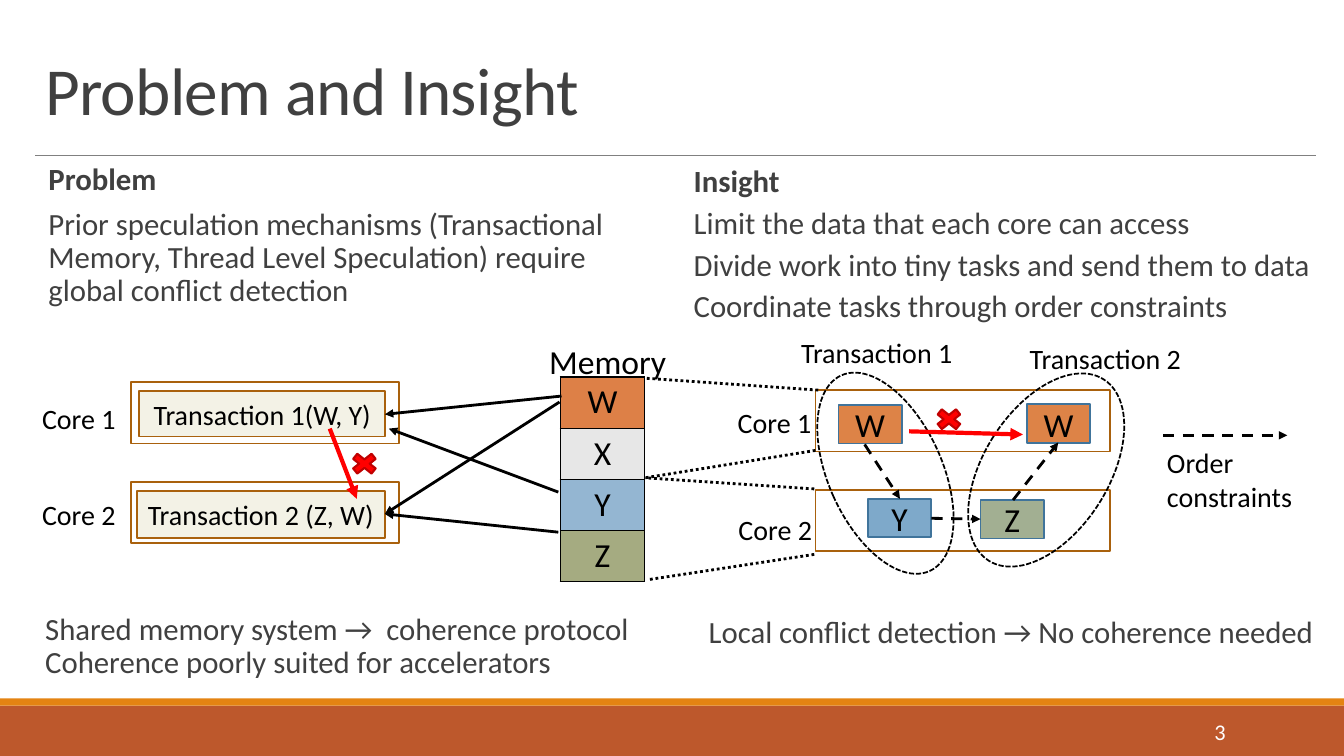
from lxml import etree
from pptx import Presentation
from pptx import util as u
from pptx.dml.color import RGBColor
from pptx.enum import dml, shapes, text
from pptx.oxml import ns

BLACK = RGBColor(0x00, 0x00, 0x00)
WHITE = RGBColor(0xFF, 0xFF, 0xFF)
DARK = RGBColor(0x40, 0x40, 0x40)
GRAY = RGBColor(0x80, 0x80, 0x80)
RUST = RGBColor(0xBD, 0x58, 0x2C)
AMBER = RGBColor(0xE4, 0x83, 0x12)
BROWN = RGBColor(0xA9, 0x61, 0x0D)
CREAM = RGBColor(0xF3, 0xF2, 0xE6)
RED = RGBColor(0xFF, 0x00, 0x00)
DARK_RED = RGBColor(0xC0, 0x00, 0x00)
TASK_EDGE = RGBColor(0x40, 0x74, 0x9B)
TASK_ORANGE = RGBColor(0xDD, 0x83, 0x47)
TASK_BLUE = RGBColor(0x7E, 0xA9, 0xCA)
TASK_GREEN = RGBColor(0xA2, 0xAF, 0x92)
MEMORY = [("W", RGBColor(0xDD, 0x80, 0x47)), ("X", RGBColor(0xE7, 0xE7, 0xE7)),
          ("Y", RGBColor(0x94, 0xB6, 0xD2)), ("Z", RGBColor(0xA5, 0xAB, 0x81))]

LEFT, CENTER, RIGHT = text.PP_ALIGN.LEFT, text.PP_ALIGN.CENTER, text.PP_ALIGN.RIGHT
TOP, MIDDLE, BOTTOM = (text.MSO_ANCHOR.TOP, text.MSO_ANCHOR.MIDDLE,
                       text.MSO_ANCHOR.BOTTOM)
DASH, SYS_DASH, SYS_DOT = (dml.MSO_LINE.DASH, dml.MSO_LINE.SQUARE_DOT,
                           dml.MSO_LINE.ROUND_DOT)
RECT = shapes.MSO_SHAPE.RECTANGLE
CORE_GAP = 2.51


def child(parent, tag, **attrs):
    return etree.SubElement(parent, ns.qn(tag), **attrs)


def write(tf, *lines, size=20, color=BLACK, font="Calibri", align=LEFT, anchor=TOP,
          wrap=True, heading=False, inset=0.25, before=0, after=0, leading=None,
          tracking=None):
    """Fill a text frame, one paragraph per line; heading makes the first one bold."""
    tf.word_wrap = wrap
    tf.auto_size = text.MSO_AUTO_SIZE.NONE
    tf.vertical_anchor = anchor
    tf.margin_left = tf.margin_right = u.Cm(inset)
    tf.margin_top = tf.margin_bottom = u.Cm(0.13)
    for i, line in enumerate(lines):
        p = tf.paragraphs[0] if i == 0 else tf.add_paragraph()
        p.text = line
        p.alignment = align
        p.space_before, p.space_after = u.Pt(before), u.Pt(after)
        p.line_spacing = leading
        pPr = p._p.get_or_add_pPr()
        pPr.set("marL", "0")
        pPr.set("indent", "0")
        child(pPr, "a:buNone")
        for r in p.runs:
            r.font.name, r.font.size = font, u.Pt(size)
            r.font.color.rgb = color
            r.font.bold = heading and i == 0
            if tracking is not None:
                r._r.get_or_add_rPr().set("spc", str(tracking))


class Canvas:
    """Holds the current slide and its style; lengths are centimetres."""

    body = dict(size=22, color=DARK, inset=0, after=2, leading=0.9)

    def __init__(self, s):
        self.s = s

    def placeholder(self, idx, box, *lines, **fmt):
        sp = self.s.placeholders[idx]
        sp.left, sp.top, sp.width, sp.height = map(u.Cm, box)
        write(sp.text_frame, *lines, **fmt)

    def label(self, box, *lines, **fmt):
        write(self.s.shapes.add_textbox(*map(u.Cm, box)).text_frame, *lines, **fmt)

    def shape(self, box, kind=RECT, fill=None, edge=None, width=1.25, dash=None,
              rotation=0, caption=None, **fmt):
        sp = self.s.shapes.add_shape(kind, *map(u.Cm, box))
        sp.shadow.inherit = False
        sp.rotation = rotation
        if fill is None:
            sp.fill.background()
        else:
            sp.fill.solid()
            sp.fill.fore_color.rgb = fill
        if edge is None:
            sp.line.fill.background()
        else:
            sp.line.color.rgb = edge
            sp.line.width = u.Pt(width)
            sp.line.dash_style = dash
        if caption:
            write(sp.text_frame, caption, align=CENTER, anchor=MIDDLE, **fmt)

    def line(self, ends, color=BLACK, width=2, dash=None, arrow=False):
        c = self.s.shapes.add_connector(shapes.MSO_CONNECTOR.STRAIGHT, *map(u.Cm, ends))
        c.line.color.rgb = color
        c.line.width = u.Pt(width)
        c.line.dash_style = dash
        if arrow:
            child(c.line._get_or_add_ln(), "a:tailEnd", type="triangle")
        child(c._element.spPr, "a:effectLst")

    def column(self, left, top, width, row, cells):
        """Add a one-column table of (caption, fill) cells with black borders."""
        table = self.s.shapes.add_table(len(cells), 1, *map(
            u.Cm, (left, top, width, row * len(cells)))).table
        table.first_row = table.horz_banding = False
        for i, (caption, fill) in enumerate(cells):
            cell = table.cell(i, 0)
            write(cell.text_frame, caption, size=24, align=CENTER)
            cell.vertical_anchor = MIDDLE
            tcPr = cell._tc.get_or_add_tcPr()
            for side in "LRTB":
                ln = child(tcPr, f"a:ln{side}", w=str(u.Pt(1)))
                child(child(ln, "a:solidFill"), "a:srgbClr", val=str(BLACK))
            cell.fill.solid()
            cell.fill.fore_color.rgb = fill


def add_text(cv):
    cv.placeholder(0, (0.89, 0.84, 32.31, 2.54), "Problem and Insight", size=48,
                   color=DARK, anchor=BOTTOM, leading=0.85, tracking=-50)
    cv.placeholder(1, (1.22, 4.01, 14.68, 5.3), "Problem",
                   "Prior speculation mechanisms (Transactional Memory, Thread Level "
                   "Speculation) require global conflict detection",
                   heading=True, before=6, **cv.body)
    cv.placeholder(2, (17.48, 4.06, 16.3, 4.55), "Insight",
                   "Limit the data that each core can access",
                   "Divide work into tiny tasks and send them to data",
                   "Coordinate tasks through order constraints",
                   heading=True, before=4, **cv.body)
    cv.label((1.14, 15.34, 15.8, 2.2), "Shared memory system →  coherence protocol\v"
             "Coherence poorly suited for accelerators", **cv.body)
    cv.label((17.86, 15.42, 15.9, 2.1),
             "Local conflict detection → No coherence needed", **cv.body)
    cv.label((27.51, 17.93, 3.63, 1.02), "3", size=16, color=WHITE, align=RIGHT,
             anchor=MIDDLE)


def add_diagram(cv):
    for left, top, width in [(3.3, 9.63, 6.76), (20.55, 9.83, 7.42)]:
        for core in range(2):
            cv.shape((left, top + core * CORE_GAP, width, 1.55), edge=BROWN)
    for box, caption in [((3.51, 9.86, 6.2, 1.14), "Transaction 1(W, Y)"),
                         ((3.45, 12.37, 6.25, 1.19), "Transaction 2 (Z, W)")]:
        cv.shape(box, fill=CREAM, edge=BROWN, caption=caption, inset=0)
    for left, top, caption in [(0.81, 9.98, "Core 1"), (0.81, 12.4, "Core 2"),
                               (18.34, 10.08, "Core 1"), (18.36, 12.78, "Core 2"),
                               (19.94, 8.33, "Transaction 1"),
                               (25.7, 8.48, "Transaction 2")]:
        cv.label((left, top, 4.52, 1.12), caption, wrap=False)
    cv.label((29.16, 11.1, 4.27, 1.96), "Order constraints")
    cv.label((13.59, 8.46, 3.48, 1.27), "Memory", size=24)
    cv.column(14.12, 9.5, 2.13, 1.27, MEMORY)

    for left, top, caption, fill in [(21.13, 10.21, "W", TASK_ORANGE),
                                     (25.88, 10.19, "W", TASK_ORANGE),
                                     (21.87, 12.57, "Y", TASK_BLUE),
                                     (24.71, 12.6, "Z", TASK_GREEN)]:
        cv.shape((left, top, 1.6, 0.97), fill=fill, edge=TASK_EDGE, caption=caption,
                 size=24)
    for box, rotation in [((20.88, 9.22, 2.87, 5.41), 335.7),
                          ((24.79, 9.14, 3.15, 5.41), 32.4)]:
        cv.shape(box, kind=shapes.MSO_SHAPE.OVAL, edge=BLACK, dash=SYS_DASH,
                 rotation=rotation)

    memory_accesses = [(14.15, 9.98, 9.7, 10.44), (14.07, 12.4, 9.8, 10.8),
                       (14.07, 13.41, 9.7, 12.95), (14.1, 10.13, 9.7, 12.95)]
    for ends in memory_accesses:
        cv.line(ends, arrow=True)
    memory_shares = [(20.62, 9.83, 16.26, 9.53), (20.55, 11.35, 16.26, 12.04),
                     (20.52, 12.32, 16.26, 12.04), (20.52, 13.97, 16.31, 14.61)]
    for ends in memory_shares:
        cv.line(ends, dash=SYS_DOT)
    order_constraints = [(21.79, 11.2, 22.68, 12.57), (23.47, 13.06, 24.71, 13.08),
                         (25.53, 12.6, 26.67, 11.15), (29.31, 10.97, 32.44, 10.97)]
    for ends in order_constraints:
        cv.line(ends, dash=DASH, arrow=True)
    conflicts = [((8.31, 10.8, 8.99, 12.57), (8.74, 11.33)),
                 ((22.91, 10.87, 25.78, 10.95), (23.47, 10.21))]
    for ends, cross in conflicts:
        cv.line(ends, color=RED, width=3, arrow=True)
        cv.shape((*cross, 0.89, 0.71), kind=shapes.MSO_SHAPE.MATH_MULTIPLY, fill=RED,
                 edge=DARK_RED, width=1.5)


def main():
    prs = Presentation()
    prs.slide_width, prs.slide_height = u.Cm(33.87), u.Cm(19.05)
    cv = Canvas(prs.slides.add_slide(prs.slide_layouts[3]))
    cv.shape((0, 17.78, 33.87, 1.27), fill=RUST)
    cv.shape((0, 17.6, 33.87, 0.18), fill=AMBER)
    cv.line((0.89, 3.91, 33.17, 3.91), color=GRAY, width=0.5)
    add_text(cv)
    add_diagram(cv)
    prs.save("out.pptx")


if __name__ == "__main__":
    main()
